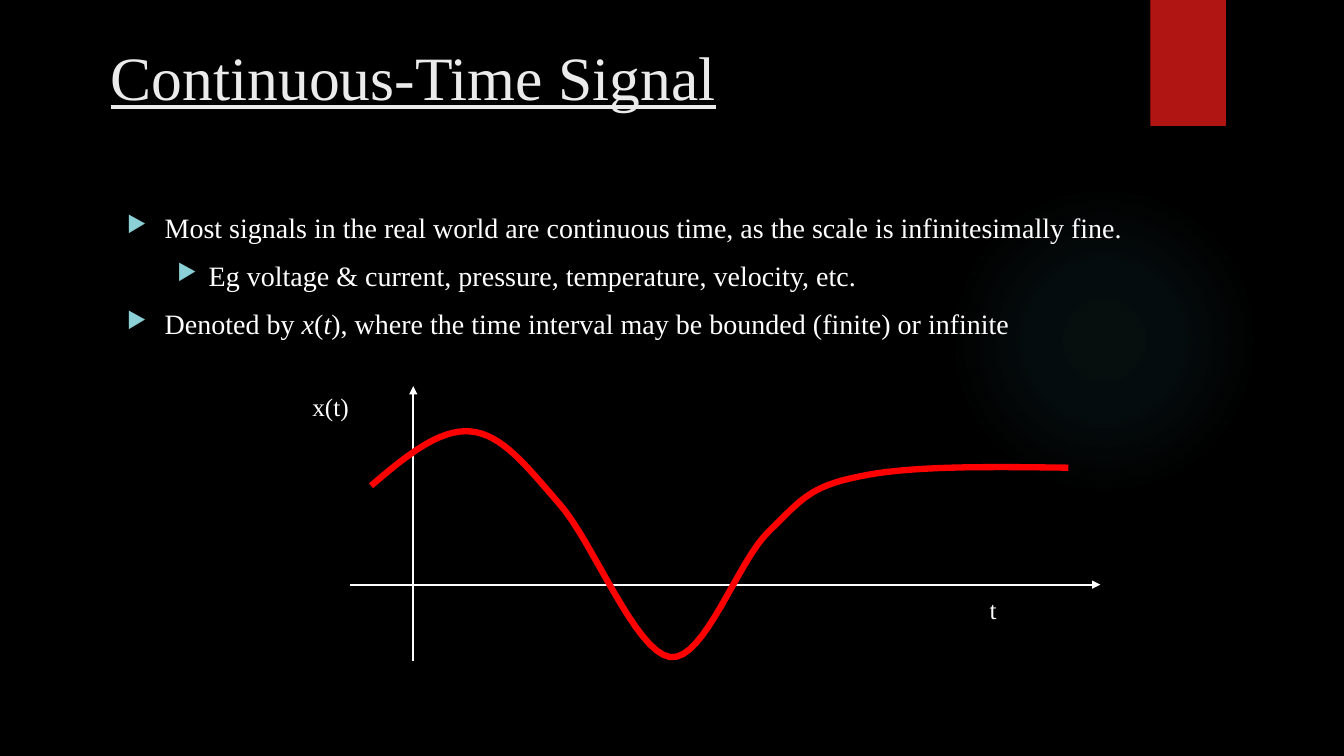
from lxml import etree
from pptx import Presentation
from pptx.dml.color import RGBColor
from pptx.enum.shapes import MSO_CONNECTOR, MSO_SHAPE
from pptx.enum.text import MSO_ANCHOR
from pptx.oxml import parse_xml
from pptx.oxml.ns import nsdecls, qn
from pptx.util import Pt

STRAIGHT = MSO_CONNECTOR.STRAIGHT
RECT, OVAL = MSO_SHAPE.RECTANGLE, MSO_SHAPE.OVAL
TOP = MSO_ANCHOR.TOP
FONT = "Times New Roman"
WHITE, RED, TEAL = "FFFFFF", "FF0000", "8AD0D6"

# Text of each bullet: level, then runs of (text, italic)
BULLETS = [
    (0, [("Most signals in the real world are continuous time, "
          "as the scale is infinitesimally fine.", False)]),
    (1, [("Eg voltage & current, pressure, temperature, velocity, etc.", False)]),
    (0, [("Denoted by ", False), ("x", True), ("(", False), ("t", True),
         ("), where the time interval may be bounded (finite) or infinite", False)]),
]
INDENTS = [(27, 27), (58.5, 22.5)]  # left margin and hanging part, by level

# Signal curve: start point, then two handles and an end point per segment
SIGNAL_START = (265, 347)
SIGNAL = [
    [(289.4, 326.2), (313.9, 306), (336.2, 308.2)],
    [(358.6, 310.3), (375.8, 332.6), (399.6, 360)],
    [(423.4, 386.6), (453.6, 465.8), (478.8, 469.4)],
    [(503.3, 472.3), (527, 400.3), (549.4, 379.4)],
    [(571.7, 357.8), (577.4, 347.8), (612.7, 340.6)],
    [(648.7, 332.6), (705.6, 333.4), (763.2, 334.1)],
]


def rgb(color):
    return RGBColor.from_string(color)


def add_block(shapes, kind, x, y, w, h, color):
    sp = shapes.add_shape(kind, Pt(x), Pt(y), Pt(w), Pt(h))
    sp.shadow.inherit = False
    sp.fill.solid()
    sp.fill.fore_color.rgb = rgb(color)
    sp.line.fill.background()
    return sp


def add_glow(shapes, x, y, size, color, stops):
    """Circle with a radial fade; stops are (position %, opacity %)."""
    sp = add_block(shapes, OVAL, x, y, size, size, color)
    gs = "".join(
        f'<a:gs pos="{pos * 1000}"><a:srgbClr val="{color}">'
        f'<a:alpha val="{alpha * 1000}"/></a:srgbClr></a:gs>' for pos, alpha in stops)
    grad = parse_xml(
        f'<a:gradFill {nsdecls("a")}><a:gsLst>{gs}</a:gsLst><a:path path="circle">'
        '<a:fillToRect l="50000" t="50000" r="50000" b="50000"/></a:path></a:gradFill>')
    spPr = sp._element.spPr
    spPr.replace(spPr.find(qn("a:solidFill")), grad)


def add_text_frame(shapes, x, y, w, h):
    tf = shapes.add_textbox(Pt(x), Pt(y), Pt(w), Pt(h)).text_frame
    tf.word_wrap = True
    tf.vertical_anchor = TOP
    return tf


def add_run(p, text, size, color=WHITE, italic=False, underline=False):
    r = p.add_run()
    r.text = text
    r.font.name = FONT
    r.font.size = Pt(size)
    r.font.color.rgb = rgb(color)
    r.font.italic = italic
    r.font.underline = underline


def add_label(shapes, text, x, y, w, h, size, **style):
    tf = add_text_frame(shapes, x, y, w, h)
    add_run(tf.paragraphs[0], text, size, **style)


def set_bullet(p, level):
    left, hanging = INDENTS[level]
    pPr = p._p.get_or_add_pPr()
    pPr.set("marL", str(Pt(left)))
    pPr.set("indent", str(-Pt(hanging)))
    color = etree.SubElement(pPr, qn("a:buClr"))
    etree.SubElement(color, qn("a:srgbClr")).set("val", TEAL)
    etree.SubElement(pPr, qn("a:buSzPct")).set("val", "80000")
    etree.SubElement(pPr, qn("a:buChar")).set("char", "▶")


def add_bullets(shapes, x, y, w, h):
    tf = add_text_frame(shapes, x, y, w, h)
    for i, (level, runs) in enumerate(BULLETS):
        p = tf.add_paragraph() if i else tf.paragraphs[0]
        p.level = level
        set_bullet(p, level)
        if i:
            p.space_before = Pt(10)
        for text, italic in runs:
            add_run(p, text, 20, italic=italic)


def add_axis(shapes, x1, y1, x2, y2):
    line = shapes.add_connector(STRAIGHT, Pt(x1), Pt(y1), Pt(x2), Pt(y2))
    line.line.color.rgb = rgb(WHITE)
    line.line.width = Pt(1.5)
    etree.SubElement(line.line._get_or_add_ln(), qn("a:tailEnd")).set("type", "triangle")
    etree.SubElement(line._element.spPr, qn("a:effectLst"))


def bezier(points, t):
    weights = ((1 - t) ** 3, 3 * t * (1 - t) ** 2, 3 * t ** 2 * (1 - t), t ** 3)
    return tuple(Pt(sum(k * p[axis] for k, p in zip(weights, points))) for axis in (0, 1))


def add_curve(shapes, start, segments, color, width, steps=16):
    builder = shapes.build_freeform(Pt(start[0]), Pt(start[1]))
    for segment in segments:
        points = [start, *segment]
        builder.add_line_segments(
            [bezier(points, i / steps) for i in range(1, steps + 1)], close=False)
        start = segment[-1]
    sp = builder.convert_to_shape()
    sp.shadow.inherit = False
    sp.fill.background()
    sp.line.color.rgb = rgb(color)
    sp.line.width = Pt(width)


def main():
    prs = Presentation()
    prs.slide_width, prs.slide_height = Pt(960), Pt(540)
    s = prs.slides.add_slide(prs.slide_layouts[6])

    # Backdrop
    s.background.fill.solid()
    s.background.fill.fore_color.rgb = rgb("000000")
    add_glow(s.shapes, 677.5, 131.8, 221.8, "50B9C1", [(0, 7), (36, 6), (69, 0)])
    add_block(s.shapes, RECT, 821.7, 0, 54, 90, "B01513")

    # Title and bullets
    add_label(s.shapes, "Continuous-Time Signal", 72, 24, 792, 114, 44,
              color="EBEBEB", underline=True)
    add_bullets(s.shapes, 83.5, 147, 792, 317)

    # Signal plot
    plot = s.shapes.add_group_shape().shapes
    add_axis(plot, 250, 417.6, 786, 417.6)
    add_axis(plot, 295.2, 472.3, 295.2, 275.8)
    add_label(plot, "x(t)", 216, 275.8, 82, 47.5, 18)
    add_curve(plot, SIGNAL_START, SIGNAL, RED, 4.5)
    add_label(plot, "t", 699.8, 421.2, 38, 47.5, 18)

    prs.save("out.pptx")


if __name__ == "__main__":
    main()
